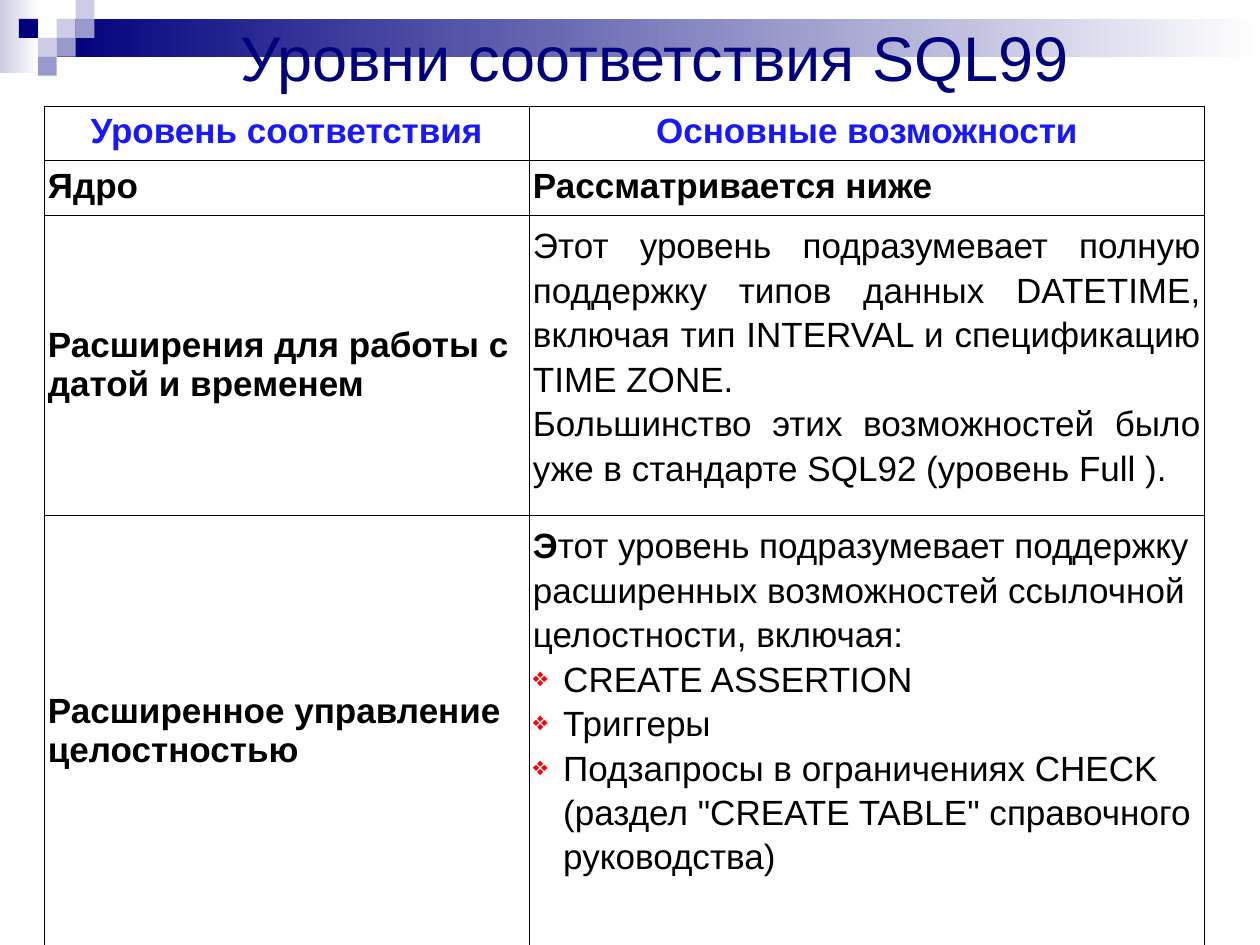
from lxml import etree
from pptx import Presentation
from pptx.dml.color import RGBColor
from pptx.enum.shapes import MSO_SHAPE
from pptx.enum.text import MSO_ANCHOR, PP_ALIGN
from pptx.oxml.ns import qn
from pptx.util import Inches, Pt

RECTANGLE = MSO_SHAPE.RECTANGLE
TOP, MIDDLE = MSO_ANCHOR.TOP, MSO_ANCHOR.MIDDLE
LEFT, CENTER, JUSTIFY = PP_ALIGN.LEFT, PP_ALIGN.CENTER, PP_ALIGN.JUSTIFY
NAVY = RGBColor(0x00, 0x00, 0x7D)
LAVENDER = RGBColor(0xCC, 0xCC, 0xE6)
PERIWINKLE = RGBColor(0x99, 0x99, 0xCC)
BLUE = RGBColor(0x18, 0x18, 0xFF)
RED = RGBColor(0xFF, 0x00, 0x00)
BLACK = RGBColor(0x00, 0x00, 0x00)
WHITE = RGBColor(0xFF, 0xFF, 0xFF)
FONT = "Arial"

TITLE = "Уровни соответствия SQL99"
HEADINGS = ["Уровень соответствия", "Основные возможности"]
LEVELS = [
    ("Ядро", ["Рассматривается ниже"], []),
    ("Расширения для работы с датой и временем", [
        "Этот уровень подразумевает полную поддержку типов данных DATETIME, "
        "включая тип INTERVAL и спецификацию TIME ZONE.",
        "Большинство этих возможностей было уже в стандарте SQL92 (уровень Full ).",
    ], []),
    ("Расширенное управление целостностью", [
        "Этот уровень подразумевает поддержку расширенных возможностей "
        "ссылочной целостности, включая:",
    ], [
        "CREATE ASSERTION",
        "Триггеры",
        "Подзапросы в ограничениях CHECK (раздел \"CREATE TABLE\" справочного руководства)",
    ]),
]
COLUMN_WIDTHS = [3.85, 5.36]
ROW_HEIGHTS = [0.41, 0.41, 2.38, 3.43]
TILE = 0.15
TILES = [
    (3, 1, LAVENDER), (4, 0, LAVENDER), (4, 1, PERIWINKLE), (2, 2, LAVENDER),
    (1, 1, NAVY), (3, 2, PERIWINKLE), (2, 3, PERIWINKLE),
]


def add_block(slide, left, top, width, height, color, fades=False):
    block = slide.shapes.add_shape(
        RECTANGLE, Inches(left), Inches(top), Inches(width), Inches(height))
    block.shadow.inherit = False
    block.line.fill.background()
    if fades:
        block.fill.gradient()
        block.fill.gradient_angle = 0
        for stop, shade in zip(block.fill.gradient_stops, (color, WHITE)):
            stop.color.rgb = shade
    else:
        block.fill.solid()
        block.fill.fore_color.rgb = color


def style(font, size, color, bold=False):
    font.name, font.size, font.bold = FONT, Pt(size), bold
    font.color.rgb = color


def write(paragraph, text, align, color=BLACK, bold=False, spacing=None, bold_letters=0):
    paragraph.alignment = align
    if spacing:
        paragraph.line_spacing = spacing
    for part, heavy in ((text[:bold_letters], True), (text[bold_letters:], bold)):
        if part:
            run = paragraph.add_run()
            run.text = part
            style(run.font, 20, color, heavy)


def add_bullet(paragraph):
    properties = paragraph._p.get_or_add_pPr()
    properties.set("marL", str(Inches(0.24)))
    properties.set("indent", str(-Inches(0.24)))
    color = etree.SubElement(properties, qn("a:buClr"))
    etree.SubElement(color, qn("a:srgbClr"), val=str(RED))
    etree.SubElement(properties, qn("a:buSzPct"), val="75000")
    etree.SubElement(properties, qn("a:buChar"), char="❖")


def frame_cell(cell, anchor):
    cell.margin_left = cell.margin_right = Inches(0.03)
    cell.margin_top = cell.margin_bottom = Inches(0.05)
    cell.vertical_anchor = anchor
    properties = cell._tc.get_or_add_tcPr()
    for side in ("lnL", "lnR", "lnT", "lnB"):
        border = etree.SubElement(properties, qn(f"a:{side}"), w=str(Pt(0.45)))
        fill = etree.SubElement(border, qn("a:solidFill"))
        etree.SubElement(fill, qn("a:srgbClr"), val=str(BLACK))
    cell.fill.solid()
    cell.fill.fore_color.rgb = WHITE


def add_level(table, row, level, details, bullets):
    name_cell, detail_cell = table.cell(row, 0), table.cell(row, 1)
    is_core = row == 1
    frame_cell(name_cell, TOP if is_core else MIDDLE)
    frame_cell(detail_cell, TOP)
    write(name_cell.text_frame.paragraphs[0], level, LEFT, bold=True)
    frame = detail_cell.text_frame
    for index, text in enumerate(details + bullets):
        paragraph = frame.add_paragraph() if index else frame.paragraphs[0]
        if index >= len(details):
            add_bullet(paragraph)
        write(paragraph, text, LEFT if bullets else JUSTIFY, bold=is_core,
              spacing=None if is_core else 1.14,
              bold_letters=1 if bullets and index == 0 else 0)


def main():
    deck = Presentation()
    deck.slide_width, deck.slide_height = Inches(10), Inches(7.5)
    slide = deck.slides.add_slide(deck.slide_layouts[6])

    add_block(slide, 0, 0, 0.31, 0.58, LAVENDER, fades=True)
    add_block(slide, 3 * TILE, TILE, 10 - 3 * TILE, 2 * TILE, NAVY, fades=True)
    for column, row, color in TILES:
        add_block(slide, column * TILE, row * TILE, TILE, TILE, color)

    title = slide.shapes.add_textbox(
        Inches(0.39), Inches(0.21), Inches(9.61), Inches(0.47)).text_frame
    title.word_wrap = True
    title.vertical_anchor = MIDDLE
    title.text = TITLE
    title.paragraphs[0].alignment = CENTER
    style(title.paragraphs[0].runs[0].font, 36, NAVY)

    table = slide.shapes.add_table(
        len(ROW_HEIGHTS), len(COLUMN_WIDTHS), Inches(0.35), Inches(0.84),
        Inches(sum(COLUMN_WIDTHS)), Inches(sum(ROW_HEIGHTS))).table
    table.first_row = table.horz_banding = False
    for column, width in zip(table.columns, COLUMN_WIDTHS):
        column.width = Inches(width)
    for row, height in zip(table.rows, ROW_HEIGHTS):
        row.height = Inches(height)
    for column, heading in enumerate(HEADINGS):
        cell = table.cell(0, column)
        frame_cell(cell, TOP)
        write(cell.text_frame.paragraphs[0], heading, CENTER, BLUE, bold=True)
    for row, (level, details, bullets) in enumerate(LEVELS, start=1):
        add_level(table, row, level, details, bullets)

    deck.save("out.pptx")


if __name__ == "__main__":
    main()
